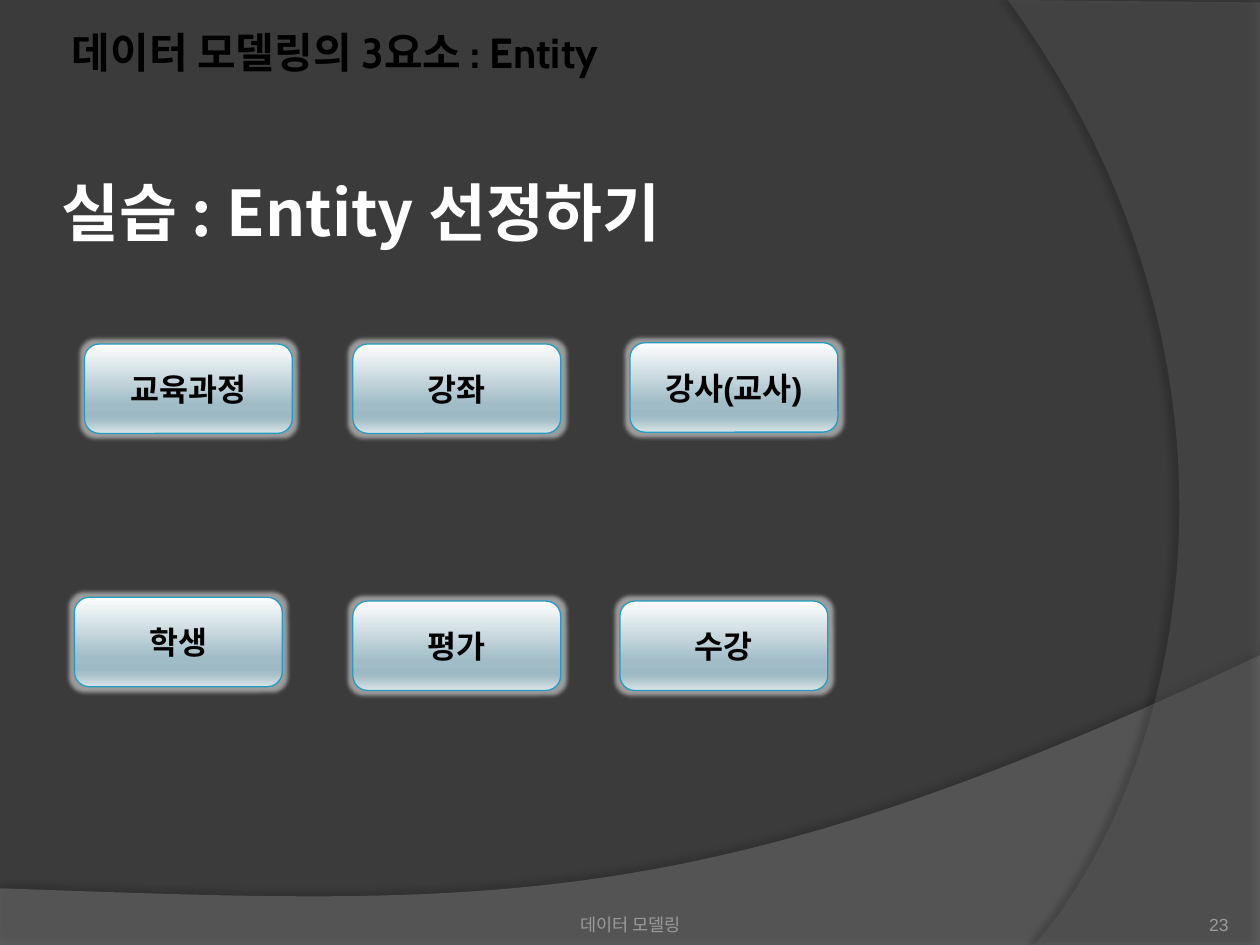
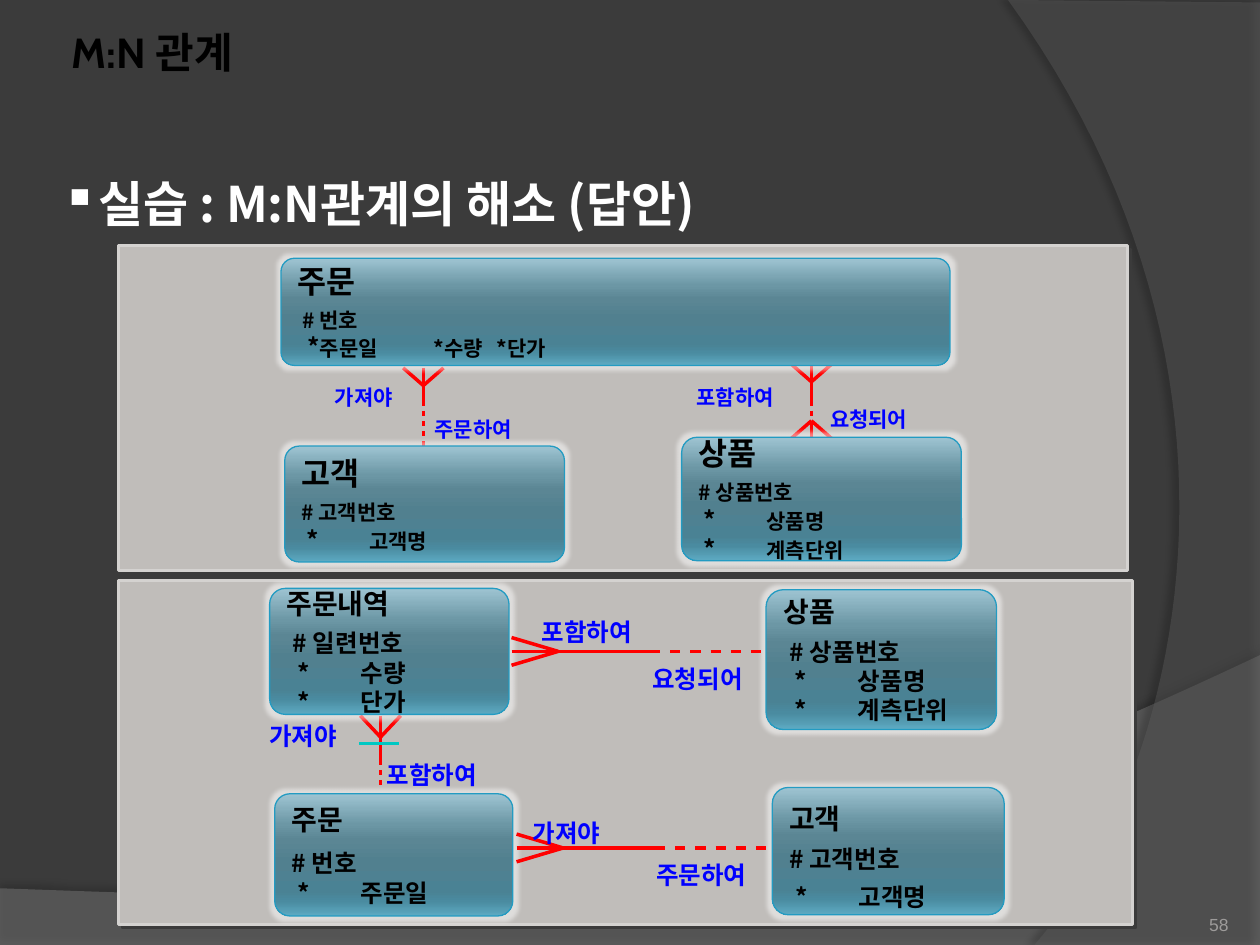
from lxml import etree
from pptx import Presentation
from pptx.dml.color import RGBColor
from pptx.enum import shapes, text
from pptx.oxml.ns import qn
from pptx.util import Inches, Pt

HUE = {
    "back": "3B3B3B", "black": "000000", "white": "FFFFFF", "note": "9D9B9A",
    "low": "7F7F7F", "side": "5E5E5E", "panel": "C0BDBA", "rim": "D4D2D0",
    "edge": "239BC2", "link": "FF0000", "label": "0000FF", "tick": "00C8C3",
}
PALE = [(0, "FEFEFE"), (68, "A0BCC6"), (81, "9CB9C4"), (86, "A7C0C9"), (100, "DAE4E7")]
TEAL = [(0, "9EC4D2"), (25, "6C97A5"), (38, "5B8694"), (55, "51808F"),
        (80, "4A8294"), (88, "4A8BA0"), (100, "5DAAC2")]
CJK = "Noto Sans CJK KR"

# Each band: fill, alpha, straight corners, curve, shadow (alpha, blur, distance, angle)
BANDS = [
    ("low", 45, [(0, 7.05), (0, 7.5), (10, 7.5)],
     [(10, 5.2), (5.59, 7.29), (3.91, 7.19), (0, 7.05)], (35, 4, 3.5, 270)),
    ("side", 40, [(10, 0.02), (10, 7.5)],
     [(8.21, 7.5), (9.35, 6.19), (10.18, 3), (8, 0)], (45, 4, 4, 180)),
]

PICKS = [("교육과정", 0.67, 2.73), ("강좌", 2.8, 2.73), ("강사(교사)", 5, 2.72),
         ("학생", 0.59, 4.74), ("평가", 2.8, 4.77), ("수강", 4.92, 4.77)]

PANELS = [(0.94, 1.95, 8.01, 2.58), (0.94, 4.61, 8.05, 2.73)]

# Each entity: place, name size, text size, rows of (text, indent, line spacing)
ENTS = [
    ((2.23, 2.05, 5.31, 0.85), 18, 12,
     [("주문", 0, 1), ("# 번호", 0.04, 1.3), ("*주문일\t*수량\t*단가", 0.08, 1)]),
    ((2.26, 3.54, 2.22, 0.92), 18, 12,
     [("고객", 0, 1), ("# 고객번호", 0, 1.3), ("*\t고객명", 0.04, 1)]),
    ((5.41, 3.47, 2.22, 0.98), 18, 12,
     [("상품", 0, 1), ("# 상품번호", 0, 1.3), ("*\t상품명", 0.04, 1),
      ("*\t계측단위", 0.04, 1)]),
    ((6.13, 6.25, 1.84, 1.01), 16, 14,
     [("고객", 0, 1.3), ("# 고객번호", 0, 1.3), ("*\t고객명", 0.05, 1.3)]),
    ((2.18, 6.3, 1.89, 0.97), 16, 14,
     [("주문", 0, 1), ("# 번호", 0, 1.4), ("*\t주문일", 0.05, 1)]),
    ((6.08, 4.68, 1.83, 1.11), 16, 14,
     [("상품", 0, 1), ("# 상품번호", 0.05, 1.3), ("*\t상품명", 0.09, 1),
      ("*\t계측단위", 0.09, 1)]),
    ((2.14, 4.67, 1.9, 1), 16, 14,
     [("주문내역", 0, 1), ("# 일련번호", 0.05, 1.3), ("*\t수량", 0.09, 1),
      ("*\t단가", 0.09, 1)]),
]
# Tab stops after the star, by entity in the order above
TABS = [(0.86, 1.52), (0.23,), (0.23,), (0.24,), (0.24,), (0.28,), (0.33,)]

# Each bond: tip of the fork, reach of its feet, end of the stem, number of dashes
DOWN = [((3.36, 3.06), -0.14, 3.22, 4), ((6.44, 3.03), -0.14, 3.22, 1),
        ((6.44, 3.34), 0.14, None, 0), ((3.02, 5.85), -0.17, 6.07, 2)]
ACROSS = [((4.43, 5.17), -0.37, 5.24, 5), ((4.47, 6.73), -0.37, 5.28, 5)]

LABELS = [
    ("가져야", 2.56, 3, 12), ("주문하여", 3.35, 3.26, 12),
    ("포함하여", 5.43, 3, 12), ("요청되어", 6.49, 3.18, 12),
    ("포함하여", 4.2, 4.85, 14), ("요청되어", 5.08, 5.22, 14),
    ("가져야", 2.04, 5.67, 14), ("포함하여", 2.97, 5.98, 14),
    ("가져야", 4.13, 6.44, 14), ("주문하여", 5.11, 6.78, 14),
]


def rgb(name):
    return RGBColor.from_string(HUE[name])


def sub(node, tag, **attrs):
    return etree.SubElement(node, qn(tag), {k: str(v) for k, v in attrs.items()})


def tint(node, hexa, alpha):
    sub(sub(node, "a:srgbClr", val=hexa), "a:alpha", val=alpha * 1000)


def font(para, size, hue, bold=True, face=CJK):
    f = para.font
    f.size, f.bold, f.name = Pt(size), bold, face
    f.color.rgb = rgb(hue)
    sub(para._p.pPr.find(qn("a:defRPr")), "a:ea", typeface=CJK)


def effects(shape):
    shape.shadow.inherit = False
    return shape.element.spPr.find(qn("a:effectLst"))


def shade(shape, hue, alpha, blur, dist, angle):
    node = sub(effects(shape), "a:outerShdw", blurRad=Pt(blur), dist=Pt(dist),
               dir=angle * 60000, algn="ctr", rotWithShape=0)
    tint(node, HUE[hue], alpha)


def block(slide, kind, place):
    return slide.shapes.add_shape(kind, *map(Inches, place))


def card(slide, place, stops, round_by):
    """Rounded box with a downward gradient and a soft glow."""
    box = block(slide, shapes.MSO_SHAPE.ROUNDED_RECTANGLE, place)
    box.adjustments[0] = round_by
    box.fill.gradient()
    box.fill.gradient_angle = 270
    ramp = box.element.spPr.find(".//" + qn("a:gsLst"))
    for old in list(ramp):
        ramp.remove(old)
    for pos, hexa in stops:
        sub(sub(ramp, "a:gs", pos=pos * 1000), "a:srgbClr", val=hexa)
    box.line.color.rgb = rgb("edge")
    box.line.width = Pt(0.75)
    tint(sub(effects(box), "a:glow", rad=Pt(5)), HUE["white"], 50)
    frame = box.text_frame
    frame.word_wrap = True
    frame.vertical_anchor = text.MSO_ANCHOR.MIDDLE
    return frame


def note(slide, words, place, size, hue, bold=True, face=CJK, inset=True):
    frame = slide.shapes.add_textbox(*map(Inches, place)).text_frame
    frame.word_wrap = True
    if not inset:
        frame.margin_left = frame.margin_right = frame.margin_bottom = 0
        frame.vertical_anchor = text.MSO_ANCHOR.BOTTOM
    para = frame.paragraphs[0]
    para.text = words
    font(para, size, hue, bold, face)
    return para


def curve(a, b, c, d, steps=48):
    for i in range(steps + 1):
        t = i / steps
        s = 1 - t
        yield tuple(s**3 * p + 3 * s * s * t * q + 3 * s * t * t * r + t**3 * v
                    for p, q, r, v in zip(a, b, c, d))


def add_bands(slide, layout):
    """Draw the two curved bands and hand them to the layout."""
    for i, (hue, alpha, corners, bend, shadow) in enumerate(BANDS):
        dots = [(Inches(x), Inches(y)) for x, y in corners + list(curve(*bend))]
        pen = slide.shapes.build_freeform(*dots[0])
        pen.add_line_segments(dots[1:])
        band = pen.convert_to_shape()
        band.fill.solid()
        band.fill.fore_color.rgb = rgb(hue)
        sub(band.element.spPr.find(".//" + qn("a:srgbClr")), "a:alpha", val=alpha * 1000)
        band.line.fill.background()
        shade(band, "black", *shadow)
        band.element.nvSpPr.cNvPr.set("id", str(20 + i))
        layout.shapes.element.append(band.element)


def start(deck, layout, title, number):
    slide = deck.slides.add_slide(layout)
    head = slide.shapes.title
    head.left, head.top, head.width, head.height = map(Inches, (0.47, 0.16, 8.94, 0.5))
    frame = head.text_frame
    frame.text = title
    frame.auto_size = text.MSO_AUTO_SIZE.NONE
    frame.vertical_anchor = text.MSO_ANCHOR.MIDDLE
    frame.paragraphs[0].alignment = text.PP_ALIGN.LEFT
    font(frame.paragraphs[0], 24, "black", face="Cabin")
    para = note(slide, number, (8.92, 7.02, 0.83, 0.4), 10, "note", False, "Arial", False)
    para.alignment = text.PP_ALIGN.RIGHT
    return slide


def line(slide, a, b, hue="link"):
    ends = map(Inches, (*a, *b))
    rule = slide.shapes.add_connector(shapes.MSO_CONNECTOR.STRAIGHT, *ends)
    rule.line.color.rgb = rgb(hue)
    rule.line.width = Pt(2)
    sub(rule.element.spPr, "a:effectLst")


def bond(slide, tip, reach, end, count, down):
    """Crow's foot, solid stem and dashes along one axis."""
    along, side = (tip[1], tip[0]) if down else tip
    spread, gap = (0.16, 0.04) if down else (0.11, 0.08)

    def at(pos, off=0):
        return (side + off, pos) if down else (pos, side + off)

    for k in (-1, 0, 1):
        line(slide, at(along + reach, k * spread), at(along))
    if end:
        line(slide, at(along), at(end))
    for i in range(count):
        pos = end + gap * (2 * i + 1)
        line(slide, at(pos), at(pos + gap))


def entity(slide, place, big, small, rows, tabs):
    frame = card(slide, place, TEAL, 0.125)
    for i, (words, indent, gap) in enumerate(rows):
        para = frame.paragraphs[0] if i == 0 else frame.add_paragraph()
        para.alignment = text.PP_ALIGN.LEFT
        para.line_spacing = gap
        ppr = para._p.get_or_add_pPr()
        ppr.set("marL", str(Inches(indent)))
        ppr.set("indent", "0")
        if "\t" in words:
            stops = sub(ppr, "a:tabLst")
            for tab in tabs:
                sub(stops, "a:tab", pos=Inches(tab), algn="l")
        if words[0] == "*":
            star = para.add_run()
            star.text, words = "*", words[1:]
            star.font.size = Pt(14)
        para.add_run().text = words
        font(para, small if i else big, "black")


def picks_slide(slide):
    foot = note(slide, "데이터 모델링", (3.42, 7.02, 3.17, 0.4), 10, "note",
                False, "Arial", False)
    foot.alignment = text.PP_ALIGN.CENTER
    note(slide, "실습 : Entity 선정하기", (0.39, 1.33, 9.3, 0.7), 36, "white")
    for name, x, y in PICKS:
        para = card(slide, (x, y, 1.65, 0.71), PALE, 0.167).paragraphs[0]
        para.text = name
        para.alignment = text.PP_ALIGN.CENTER
        font(para, 18, "black", face="Arial")


def bonds_slide(slide):
    para = note(slide, "실습 : M:N관계의 해소 (답안)", (0.39, 1.33, 9.3, 0.6), 28, "white")
    ppr = para._p.get_or_add_pPr()
    ppr.set("marL", str(Inches(0.25)))
    ppr.set("indent", str(-Inches(0.25)))
    mark = sub(ppr, "a:buChar", char="▪")
    ppr.insert(0, mark)
    for place in PANELS:
        panel = block(slide, shapes.MSO_SHAPE.RECTANGLE, place)
        panel.fill.solid()
        panel.fill.fore_color.rgb = rgb("panel")
        panel.line.color.rgb = rgb("rim")
        panel.line.width = Pt(1.5)
        shade(panel, "back", 100, 0, 2.8, 45)
    for item in DOWN:
        bond(slide, *item, down=True)
    for item, tabs in zip(ENTS, TABS):
        entity(slide, *item, tabs)
    for item in ACROSS:
        bond(slide, *item, down=False)
    for words, x, y, size in LABELS:
        note(slide, words, (x, y, 1.1, 0.3 if size == 12 else 0.34), size, "label")
    line(slide, (2.85, 5.9), (3.17, 5.9), "tick")


def main():
    deck = Presentation()
    deck.slide_width, deck.slide_height = Inches(10), Inches(7.5)
    layout = deck.slide_layouts[5]
    layout.background.fill.solid()
    layout.background.fill.fore_color.rgb = rgb("back")
    first = start(deck, layout, "데이터 모델링의 3요소 : Entity", "23")
    add_bands(first, layout)
    picks_slide(first)
    bonds_slide(start(deck, layout, "M:N 관계", "58"))
    deck.save("out.pptx")


if __name__ == "__main__":
    main()
